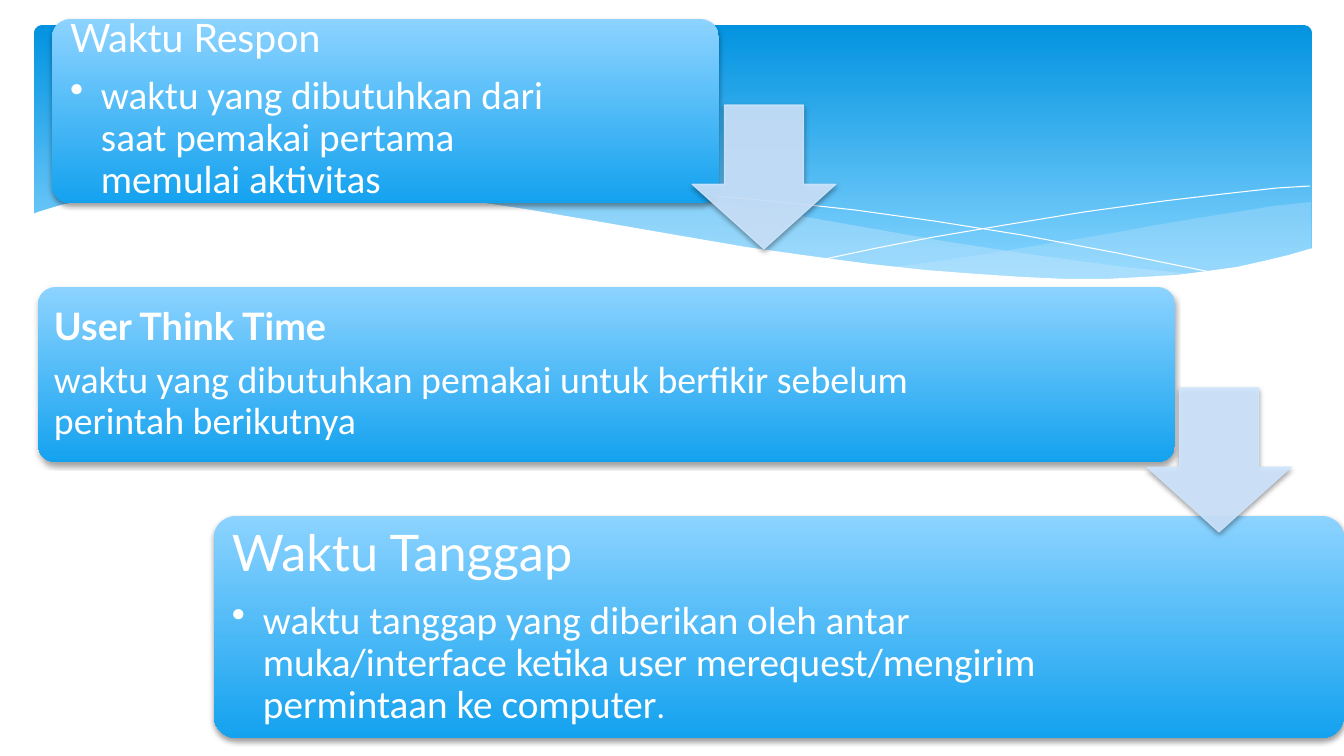
import pptx
import pptx.util
import pptx.dml.color
import pptx.enum.shapes
import pptx.enum.text
import pptx.oxml
import pptx.oxml.ns

RGB = pptx.dml.color.RGBColor
SHAPE = pptx.enum.shapes.MSO_SHAPE
Pt = pptx.util.Pt

WHITE = RGB(0xFF, 0xFF, 0xFF)
SKY_DARK = RGB(0x02, 0x93, 0xE0)
SKY_LIGHT = RGB(0x83, 0xD3, 0xFE)
WAVE = RGB(0xC6, 0xE7, 0xFC)
CARD_TOP = RGB(0x8C, 0xD3, 0xFF)
CARD_BOTTOM = RGB(0x14, 0xA2, 0xEF)
ARROW = RGB(0xCE, 0xE5, 0xFE)
SCALE = 914400 / 100.8  # EMU per px
NS = pptx.oxml.ns.nsdecls("a")
SHADOW = (f'<a:outerShdw {NS} blurRad="50800" dist="25400" dir="5400000" rotWithShape="0">'
          '<a:srgbClr val="000000"><a:alpha val="38000"/></a:srgbClr></a:outerShdw>')


def px(*lengths):
    return [pptx.util.Emu(round(n * SCALE)) for n in lengths]


def style(sp, fill=None, line=None, width=0, alpha=100, shadow=False):
    """Fill is a colour, a list of (position, colour) stops, or None."""
    if fill is None:
        sp.fill.background()
    elif isinstance(fill, list):
        sp.fill.gradient()
        sp.fill.gradient_angle = 270
        for stop, (position, color) in zip(sp.fill.gradient_stops, fill):
            stop.position, stop.color.rgb = position, color
    else:
        sp.fill.solid()
        sp.fill.fore_color.rgb = fill
    if line is None:
        sp.line.fill.background()
    else:
        sp.line.color.rgb = line
        sp.line.width = Pt(width)
    if alpha < 100:
        for clr in sp._element.spPr.xpath(".//a:srgbClr"):
            clr.append(pptx.oxml.parse_xml(f'<a:alpha {NS} val="{alpha * 1000}"/>'))
    sp.shadow.inherit = False
    if shadow:
        sp._element.spPr.xpath("./a:effectLst")[0].append(pptx.oxml.parse_xml(SHADOW))


prs = pptx.Presentation()
prs.slide_width, prs.slide_height = px(1344, 756)
s = prs.slides.add_slide(prs.slide_layouts[6])

# Blue header band
sp = s.shapes.add_shape(SHAPE.ROUNDED_RECTANGLE, *px(34, 25, 1278, 272))
sp.adjustments[0] = 0.03
style(sp, [(0, SKY_DARK), (0.9, SKY_LIGHT)])

# Waves and thin curves along the lower edge of the band
right_wave = [
    (1311, 202), (1273, 206), (1237, 212), (1198, 218), (1156, 225), (1119, 232),
    (1046, 244), (980, 255), (918, 264), (889, 267), (928, 271), (984, 276),
    (1049, 279), (1108, 280), (1174, 278), (1228, 273), (1276, 265), (1311, 249)]
middle_wave = [
    (1200, 275), (1125, 267), (1042, 256), (949, 242), (846, 224), (784, 213),
    (727, 204), (674, 197), (624, 193), (564, 189), (510, 186), (463, 187),
    (421, 190), (385, 193), (434, 198), (487, 205), (543, 213), (604, 224),
    (712, 242), (808, 257), (894, 268), (971, 276), (1038, 279), (1099, 280),
    (1165, 279)]
falling_curve = [
    (415, 197), (451, 193), (503, 190), (559, 188), (605, 189), (657, 192),
    (716, 196), (781, 202), (855, 210), (934, 221), (1022, 235), (1117, 253),
    (1220, 274)]
rising_curve = [
    (825, 259), (877, 248), (934, 237), (1005, 225), (1084, 212), (1164, 201),
    (1223, 194), (1277, 188), (1310, 186)]
white_wave = [
    (1313, 248), (1289, 255), (1264, 261), (1237, 267), (1208, 271), (1177, 275),
    (1143, 277), (1106, 279), (1066, 279), (1023, 277), (977, 274), (925, 270),
    (870, 264), (810, 256), (746, 247), (676, 235), (601, 222), (525, 209),
    (457, 199), (393, 192), (336, 187), (284, 185), (237, 185), (196, 186),
    (159, 188), (128, 193), (102, 197), (80, 201), (61, 205), (38, 212),
    (31, 215), (31, 332), (1313, 332)]
for points, look in [
    (right_wave, {"fill": WAVE, "alpha": 29}),
    (middle_wave, {"fill": WAVE, "alpha": 40}),
    (falling_curve, {"line": WHITE}),
    (rising_curve, {"line": WHITE}),
    (white_wave, {"fill": WHITE}),
]:
    outline = s.shapes.build_freeform(*points[0], scale=SCALE)
    outline.add_line_segments(points[1:], close="fill" in look)
    style(outline.convert_to_shape(), **look)

# Cards: card box, text box, inset, paragraphs of (runs, font, bold, space after, bullet)
cards = [
    ((52, 19, 667, 184), (58, 24, 523, 173), 12, [
        ([("Waktu Respon", 28)], "Lato", False, 10, False),
        ([("waktu yang dibutuhkan dari saat pemakai pertama memulai aktivitas", 28)],
         "Calibri", False, 4, True)]),
    ((38, 287, 1137, 175), (43, 293, 881, 164), 11, [
        ([("User Think Time", 27)], "Lato", True, 9, False),
        ([("waktu yang dibutuhkan pemakai untuk berfikir sebelum perintah berikutnya", 27)],
         "Calibri", False, 9, False)]),
    ((214, 516, 1130, 222), (220, 523, 874, 209), 12, [
        ([("Waktu Tanggap", 36)], "Lato", False, 13, False),
        ([("waktu tanggap yang diberikan oleh antar muka/interface ketika user "
           "merequest/mengirim permintaan ke computer", 28), (".", 24)],
         "Calibri", False, 4, True)]),
]
for card_box, text_box, inset, paragraphs in cards:
    sp = s.shapes.add_shape(SHAPE.ROUNDED_RECTANGLE, *px(*card_box))
    sp.adjustments[0] = 0.1
    style(sp, [(0, CARD_TOP), (1, CARD_BOTTOM)], shadow=True)

    tf = s.shapes.add_textbox(*px(*text_box)).text_frame
    margin = px(inset)[0]
    frame_format = {"word_wrap": True, "vertical_anchor": pptx.enum.text.MSO_ANCHOR.MIDDLE,
                    "margin_left": margin, "margin_top": margin,
                    "margin_right": margin, "margin_bottom": margin}
    for name, value in frame_format.items():
        setattr(tf, name, value)
    for i, (runs, font, bold, after, bullet) in enumerate(paragraphs):
        p = tf.add_paragraph() if i else tf.paragraphs[0]
        p.line_spacing, p.space_after = 0.9, Pt(after)
        if bullet:
            p.level = 1
            pPr = p._p.get_or_add_pPr()
            indent = px(31)[0]
            pPr.set("marL", str(indent))
            pPr.set("indent", str(-indent))
            pPr.append(pptx.oxml.parse_xml(f'<a:buChar {NS} char="•"/>'))
        for text, size in runs:
            r = p.add_run()
            r.text = text
            for name, value in {"name": font, "size": Pt(size), "bold": bold}.items():
                setattr(r.font, name, value)
            r.font.color.rgb = WHITE

# Arrows between the cards
for left, top in [(692, 105), (1147, 388)]:
    sp = s.shapes.add_shape(SHAPE.DOWN_ARROW, *px(left, top, 144, 144))
    # Adjustments: head length, then shaft width
    sp.adjustments[0], sp.adjustments[1] = 0.55, 0.45
    style(sp, ARROW, line=ARROW, width=0.75, alpha=90, shadow=True)

prs.save("out.pptx")
